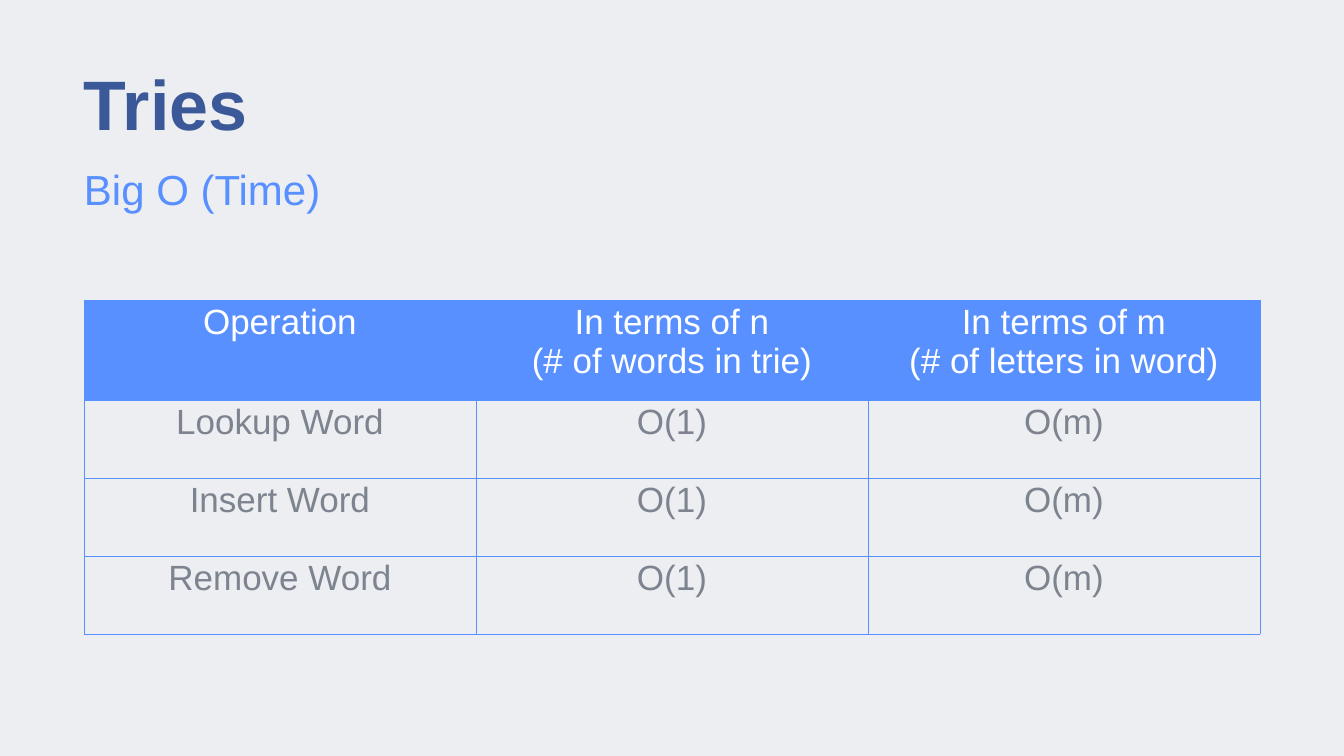
from dataclasses import dataclass

from lxml.etree import SubElement
from pptx import Presentation
from pptx.dml.color import RGBColor
from pptx.enum.text import MSO_ANCHOR, MSO_AUTO_SIZE, PP_ALIGN
from pptx.oxml.ns import qn
from pptx.util import Emu, Pt

SCALE = 18143  # EMU in one px

ROWS = [
    ["Operation", "In terms of n\n(# of words in trie)", "In terms of m\n(# of letters in word)"],
    ["Lookup Word", "O(1)", "O(m)"],
    ["Insert Word", "O(1)", "O(m)"],
    ["Remove Word", "O(1)", "O(m)"],
]


@dataclass(frozen=True)
class Theme:
    font: str = "Arial"
    back: str = "EDEEF1"
    navy: str = "3B5998"
    blue: str = "5890FF"
    gray: str = "7D8490"
    white: str = "FFFFFF"
    title: int = 100
    sub: int = 60
    cell: int = 50
    rule: float = 0.75


def px(count):
    return Emu(count * SCALE)


class Deck:
    def __init__(self, theme, width, height):
        self.theme = theme
        self.show = Presentation()
        self.show.slide_width, self.show.slide_height = px(width), px(height)
        self.slide = self.show.slides.add_slide(self.show.slide_layouts[1])
        fill = self.slide.background.fill
        fill.solid()
        fill.fore_color.rgb = RGBColor.from_string(theme.back)

    def style(self, frame, size, color, align, bold=False):
        for line in frame.paragraphs:
            line.alignment = align
            for run in line.runs:
                font = run.font
                font.name, font.size, font.bold = self.theme.font, Pt(size), bold
                font.color.rgb = RGBColor.from_string(color)

    def holder(self, index, text, box, size, color, bold=False):
        """Fill a template placeholder with one plain line."""
        shape = self.slide.placeholders[index]
        shape.left, shape.top, shape.width, shape.height = map(px, box)
        frame = shape.text_frame
        frame.text = text
        frame.word_wrap = True
        frame.auto_size = MSO_AUTO_SIZE.NONE
        frame.vertical_anchor = MSO_ANCHOR.MIDDLE
        frame.margin_left = frame.margin_right = 0
        frame.margin_top = frame.margin_bottom = 0
        line = frame.paragraphs[0]
        line.line_spacing = 0.9
        line.space_before = Pt(0)
        props = line._p.get_or_add_pPr()
        props.set("marL", "0")
        props.set("indent", "0")
        SubElement(props, qn("a:buNone"))
        self.style(frame, size, color, PP_ALIGN.LEFT, bold)

    def border(self, cell):
        props = cell._tc.get_or_add_tcPr()
        for side in ("lnL", "lnR", "lnT", "lnB"):
            line = SubElement(props, qn(f"a:{side}"), w=str(Pt(self.theme.rule)))
            fill = SubElement(line, qn("a:solidFill"))
            SubElement(fill, qn("a:srgbClr"), val=self.theme.blue)

    def table(self, rows, left, top, width, heights):
        frame = self.slide.shapes.add_table(
            len(rows), len(rows[0]), px(left), px(top), px(width), px(sum(heights)))
        table = frame.table
        table.horz_banding = False
        for row, height in zip(table.rows, heights):
            row.height = px(height)
        for y, texts in enumerate(rows):
            for x, text in enumerate(texts):
                self.cell(table.cell(y, x), text, head=y == 0)

    def cell(self, cell, text, head):
        theme = self.theme
        cell.text_frame.text = text
        self.border(cell)
        if head:
            cell.fill.solid()
            cell.fill.fore_color.rgb = RGBColor.from_string(theme.blue)
        else:
            cell.fill.background()
        color = theme.white if head else theme.gray
        self.style(cell.text_frame, theme.cell, color, PP_ALIGN.CENTER)


def main():
    theme = Theme()
    deck = Deck(theme, 1344, 756)
    left, width = 84, 1176
    deck.holder(0, "Tries", (left, 57, width, 101), theme.title, theme.navy, bold=True)
    deck.holder(1, "Big O (Time)", (left, 161, width, 61), theme.sub, theme.blue)
    deck.table(ROWS, left, 300, width, [100, 78, 78, 78])
    deck.show.save("out.pptx")


if __name__ == "__main__":
    main()
